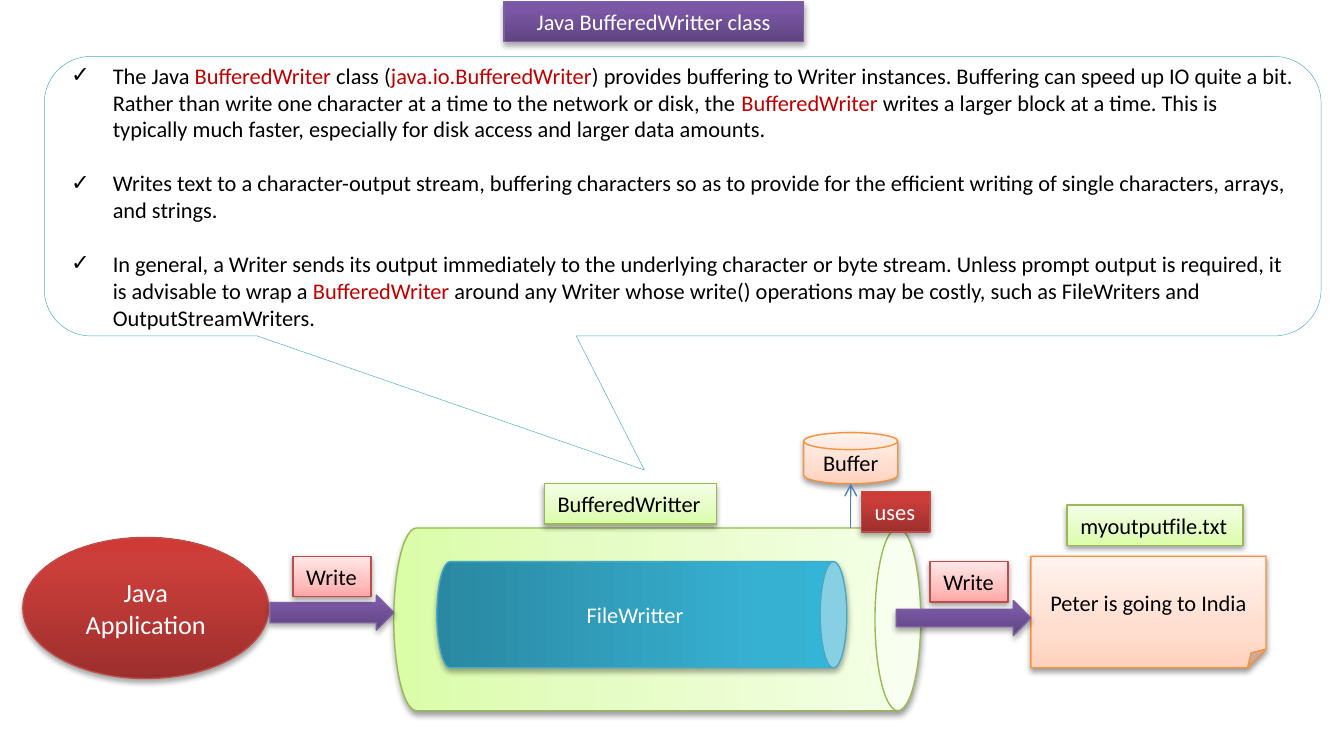
import pptx
import pptx.dml.color
import pptx.enum.shapes
import pptx.enum.text
import pptx.oxml
import pptx.oxml.ns
import pptx.util

Inches, Pt = pptx.util.Inches, pptx.util.Pt
SHAPE = pptx.enum.shapes.MSO_SHAPE
ALIGN = pptx.enum.text.PP_ALIGN
ANCHOR = pptx.enum.text.MSO_ANCHOR
NS = pptx.oxml.ns.nsdecls("a")
BLACK, WHITE, RED = "000000", "FFFFFF", "C00000"

# Gradient colours from bottom to top, then the outline colour
DARK = {
    "purple": ("5F4480", "7B58A6", "7C57A8", "7D60A0"),
    "red": ("9C2F2D", "CB3E3A", "CE3B37", "BF4C48"),
    "teal": ("2A88A2", "37B1D2", "34B4D6", "46AAC5"),
}
LIGHT = {
    "orange": ("FFD2BD", "FFDED0", "FFF2ED", "F69240"),
    "green": ("DAFDA7", "E4FCC2", "F5FFE7", "98B955"),
    "pink": ("FFA6A5", "FFC0BF", "FFE7E7", "BF4C48"),
}


def rgb(value):
    return pptx.dml.color.RGBColor.from_string(value)


def add_run(p, text, size=12, color=BLACK, font="Calibri"):
    r = p.add_run()
    r.text = text
    r.font.name = font
    r.font.size = Pt(size)
    r.font.color.rgb = rgb(color)


class Diagram:
    def __init__(self, s):
        self.s = s

    def outline(self, sp, color, width):
        sp.line.color.rgb = rgb(color)
        sp.line.width = Pt(width)
        sp.shadow.inherit = False

    def style(self, sp, name):
        """Three-stop gradient, outline and soft shadow."""
        dark = name in DARK
        *stops, line = DARK[name] if dark else LIGHT[name]
        sp.fill.gradient()
        sp.fill.gradient_angle = 90
        spPr = sp._element.spPr
        stop_list = spPr.find(".//" + pptx.oxml.ns.qn("a:gsLst"))
        stop_list.clear()
        for pos, color in zip((0, 80 if dark else 35, 100), stops):
            stop_list.append(pptx.oxml.parse_xml(
                f'<a:gs {NS} pos="{pos * 1000}"><a:srgbClr val="{color}"/></a:gs>'))
        self.outline(sp, line, 0.75)
        dist, alpha = (23000, 35) if dark else (20000, 38)
        spPr.find(pptx.oxml.ns.qn("a:effectLst")).append(pptx.oxml.parse_xml(
            f'<a:outerShdw {NS} blurRad="40000" dist="{dist}" dir="5400000" rotWithShape="0">'
            f'<a:srgbClr val="{BLACK}"><a:alpha val="{alpha * 1000}"/></a:srgbClr></a:outerShdw>'))

    def shape(self, kind, box, name, text="", size=12, rotation=0, vert=None):
        sp = self.s.shapes.add_shape(kind, *map(Inches, box))
        sp.rotation = rotation
        self.style(sp, name)
        if text:
            tf = sp.text_frame
            tf.word_wrap = True
            tf.vertical_anchor = ANCHOR.MIDDLE
            if vert:
                tf._txBody.bodyPr.set("vert", vert)
            p = tf.paragraphs[0]
            p.alignment = ALIGN.CENTER
            add_run(p, text, size, WHITE if name in DARK else BLACK)
        return sp

    def label(self, x, y, width, name, text, centered=False):
        sp = self.shape(SHAPE.RECTANGLE, (x, y, width, 0.3), name, text)
        tf = sp.text_frame
        tf.word_wrap = centered
        tf.auto_size = pptx.enum.text.MSO_AUTO_SIZE.SHAPE_TO_FIT_TEXT
        tf.vertical_anchor = ANCHOR.TOP
        tf.paragraphs[0].alignment = ALIGN.CENTER if centered else ALIGN.LEFT

    def callout(self, box, tip, points):
        sp = self.s.shapes.add_shape(SHAPE.ROUNDED_RECTANGULAR_CALLOUT, *map(Inches, box))
        for i, value in enumerate(tip):
            sp.adjustments[i] = value
        sp.fill.solid()
        sp.fill.fore_color.rgb = rgb(WHITE)
        self.outline(sp, "4BACC6", 0.25)
        tf = sp.text_frame
        tf.word_wrap = True
        tf.vertical_anchor = ANCHOR.MIDDLE
        for i, runs in enumerate(points):
            p = tf.add_paragraph() if i else tf.paragraphs[0]
            p.alignment = ALIGN.LEFT
            if i:
                p.space_before = Pt(14.4)
            pPr = p._p.get_or_add_pPr()
            pPr.set("marL", str(Inches(0.31)))
            pPr.set("indent", str(-Inches(0.31)))
            pPr.append(pptx.oxml.parse_xml(f'<a:buFont {NS} typeface="Calibri"/>'))
            pPr.append(pptx.oxml.parse_xml(f'<a:buChar {NS} char="✓"/>'))
            # Every second run is a highlighted class name
            for j, text in enumerate(runs):
                add_run(p, text, color=RED if j % 2 else BLACK)

    def arrow(self, x1, y1, x2, y2, color):
        c = self.s.shapes.add_connector(
            pptx.enum.shapes.MSO_CONNECTOR.STRAIGHT, *map(Inches, (x1, y1, x2, y2)))
        c.line.color.rgb = rgb(color)
        c.line.width = Pt(0.75)
        c.line._get_or_add_ln().append(pptx.oxml.parse_xml(f'<a:tailEnd {NS} type="arrow"/>'))
        c._element.spPr.append(pptx.oxml.parse_xml(f"<a:effectLst {NS}/>"))


POINTS = [
    ("The Java ", "BufferedWriter", " class (", "java.io.BufferedWriter",
     ") provides buffering to Writer instances. Buffering can speed up IO quite a bit. "
     "Rather than write one character at a time to the network or disk, the ",
     "BufferedWriter",
     " writes a larger block at a time. This is typically much faster, especially for "
     "disk access and larger data amounts."),
    ("Writes text to a character-output stream, buffering characters so as to provide for "
     "the efficient writing of single characters, arrays, and strings.",),
    ("In general, a Writer sends its output immediately to the underlying character or byte "
     "stream. Unless prompt output is required, it is advisable to wrap a ",
     "BufferedWriter",
     " around any Writer whose write() operations may be costly, such as FileWriters and "
     "OutputStreamWriters."),
]


def main():
    prs = pptx.Presentation()
    prs.slide_width, prs.slide_height = Inches(10), Inches(5.5)
    d = Diagram(prs.slides.add_slide(prs.slide_layouts[6]))

    # Title
    d.label(3.75, 0.01, 2.23, "purple", "Java BufferedWritter class", centered=True)

    # Output file and application
    d.shape(SHAPE.FOLDED_CORNER, (7.67, 4.14, 1.75, 0.83), "orange", "Peter is going to India")
    d.label(7.94, 3.76, 1.31, "green", "myoutputfile.txt")
    d.shape(SHAPE.OVAL, (0.17, 4, 1.83, 1.05), "red", "Java Application", size=14)

    # Nested writers and their buffer
    d.shape(SHAPE.CAN, (4.21, 2.65, 1.36, 3.92), "green", rotation=90)
    d.shape(SHAPE.CAN, (4.38, 3.05, 0.79, 3.05), "teal", "FileWritter",
            rotation=90, vert="vert270")
    d.shape(SHAPE.FLOWCHART_MAGNETIC_DISK, (5.98, 3.22, 0.7, 0.38), "orange", "Buffer")
    d.label(4.05, 3.6, 1.28, "green", "BufferedWritter")

    # Write steps
    d.shape(SHAPE.RIGHT_ARROW, (6.67, 4.47, 1, 0.26), "purple")
    first_write = d.shape(SHAPE.RIGHT_ARROW, (2.01, 4.43, 0.92, 0.26), "purple")
    first_write.adjustments[0] = 0.58
    for x, y in ((6.92, 4.18), (2.18, 4.14)):
        d.label(x, y, 0.58, "pink", "Write")

    # Link to the buffer
    d.arrow(6.33, 3.93, 6.33, 3.6, "4B7EBC")
    d.label(6.41, 3.66, 0.51, "red", "uses")

    # Explanation
    d.callout((0.33, 0.42, 9.5, 2.08), (-0.03, 0.98), POINTS)

    prs.save("out.pptx")


if __name__ == "__main__":
    main()
